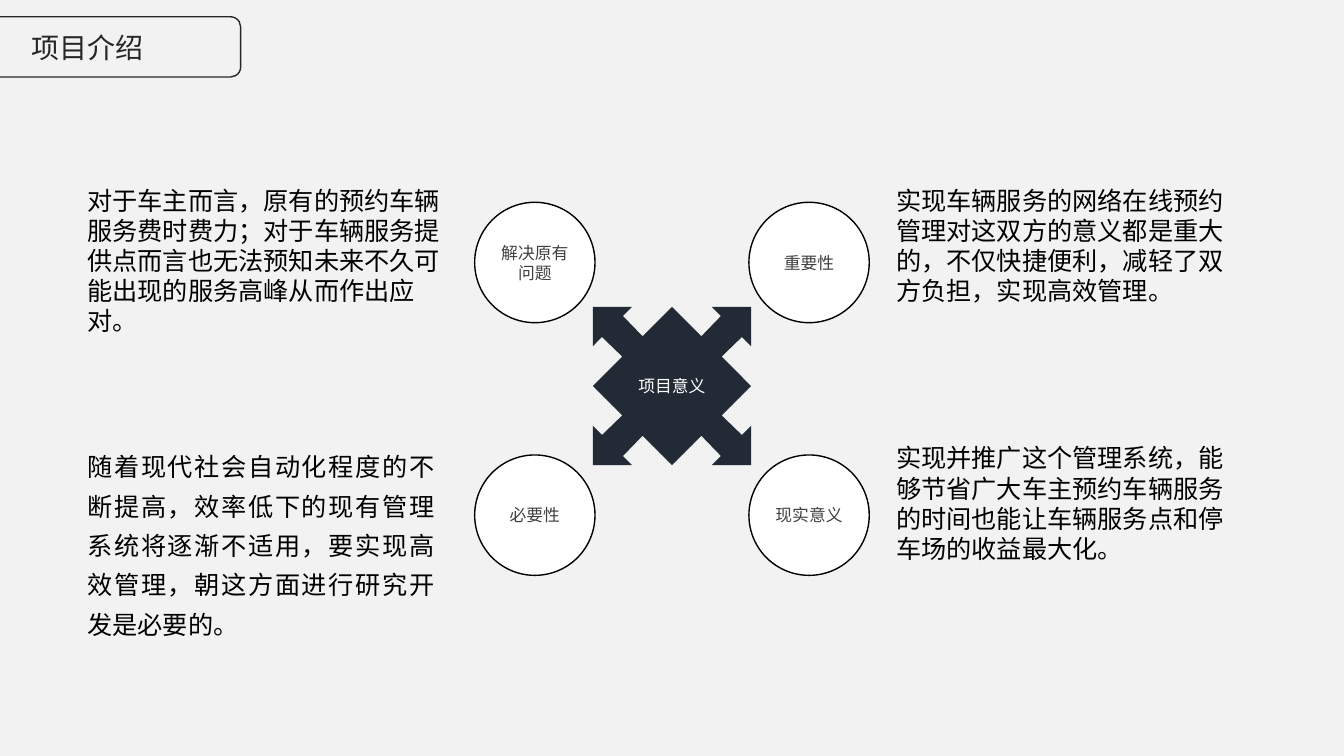
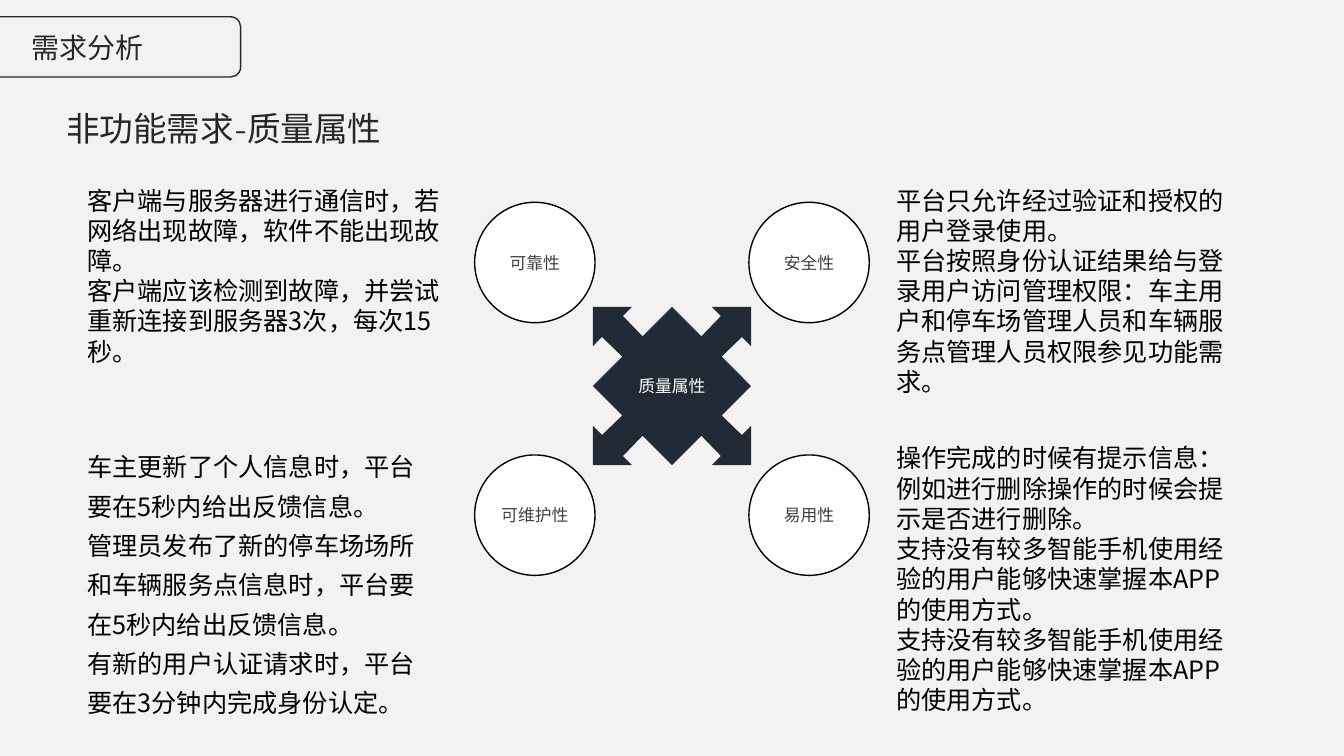
from lxml.etree import SubElement
from pptx import Presentation
from pptx.dml.color import RGBColor
from pptx.enum.shapes import MSO_SHAPE as Preset
from pptx.enum.text import MSO_ANCHOR as Anchor, MSO_AUTO_SIZE as AutoSize, PP_ALIGN as Align
from pptx.oxml.ns import qn
from pptx.util import Pt

COLORS = {
    "background": "F2F2F2",
    "title": "262626",
    "body": "000000",
    "label": "404040",
    "white": "FFFFFF",
    "hub": "222A35",
}
TITLE_FONT, TEXT_FONT = "Quicksand", "Noto Sans CJK SC"

CIRCLE = 86
CIRCLE_CORNERS = [(339.25, 144.5), (339.25, 325), (535.25, 144.5), (535.25, 325)]
# left, top, width, height, in the order of the layout's placeholders
BODY_BOXES = [
    (54.75, 128, 273, 140),
    (54.75, 312.25, 263.5, 205),
    (632.75, 128, 258.5, 160),
    (632.75, 312.25, 258.5, 205),
]
HUB_CENTER = (480.25, 275.75)
# One side of the four-way arrow, from corner to corner, around its centre
HUB_SIDE = [
    (-56.5, -56.5), (-28.5, -56.5), (-35, -50), (-21, -35.5),
    (0, -56.5), (21, -35.5), (35, -50), (28.5, -56.5),
]

# Labels and bodies run top left, bottom left, top right, bottom right
SLIDES = [
    {
        "title": "项目介绍",
        "subtitle": None,
        "hub": "项目意义",
        "labels": ["解决原有\n问题", "必要性", "重要性", "现实意义"],
        "bodies": [
            "对于车主而言，原有的预约车辆服务费时费力；对于车辆服务提供点而言也无法预知未来不久可能出现的服务高峰从而作出应对。",
            "随着现代社会自动化程度的不断提高，效率低下的现有管理系统将逐渐不适用，要实现高效管理，朝这方面进行研究开发是必要的。",
            "实现车辆服务的网络在线预约管理对这双方的意义都是重大的，不仅快捷便利，减轻了双方负担，实现高效管理。",
            "实现并推广这个管理系统，能够节省广大车主预约车辆服务的时间也能让车辆服务点和停车场的收益最大化。",
        ],
        "bottom_left_align": Align.JUSTIFY,
    },
    {
        "title": "需求分析",
        "subtitle": "非功能需求-质量属性",
        "hub": "质量属性",
        "labels": ["可靠性", "可维护性", "安全性", "易用性"],
        "bodies": [
            "客户端与服务器进行通信时，若网络出现故障，软件不能出现故障。\n"
            "客户端应该检测到故障，并尝试重新连接到服务器3次，每次15秒。",
            "车主更新了个人信息时，平台要在5秒内给出反馈信息。\n"
            "管理员发布了新的停车场场所和车辆服务点信息时，平台要在5秒内给出反馈信息。\n"
            "有新的用户认证请求时，平台要在3分钟内完成身份认定。",
            "平台只允许经过验证和授权的用户登录使用。\n"
            "平台按照身份认证结果给与登录用户访问管理权限：车主用户和停车场管理人员和车辆服务点管理人员权限参见功能需求。",
            "操作完成的时候有提示信息：例如进行删除操作的时候会提示是否进行删除。\n"
            "支持没有较多智能手机使用经验的用户能够快速掌握本APP的使用方式。\n"
            "支持没有较多智能手机使用经验的用户能够快速掌握本APP的使用方式。",
        ],
        "bottom_left_align": Align.LEFT,
    },
]


def write(shape, text, size, color, font=TEXT_FONT, align=Align.LEFT,
          anchor=Anchor.TOP, insets=(0, 0)):
    """Fill a shape with plain paragraphs: no bullets, indents or hanging punctuation."""
    frame = shape.text_frame
    frame.text = text
    frame.word_wrap = True
    frame.auto_size = AutoSize.NONE
    frame.vertical_anchor = anchor
    frame.margin_left = frame.margin_right = Pt(insets[0])
    frame.margin_top = frame.margin_bottom = Pt(insets[1])
    for paragraph in frame.paragraphs:
        paragraph.alignment = align
        paragraph.space_before = Pt(0)
        properties = paragraph._p.get_or_add_pPr()
        for attribute in ("marL", "indent", "hangingPunct"):
            properties.set(attribute, "0")
        SubElement(properties, qn("a:buNone"))
        for run in paragraph.runs:
            run.font.size = Pt(size)
            run.font.bold = False
            run.font.name = font
            run.font.color.rgb = RGBColor.from_string(COLORS[color])
            SubElement(run.font._element, qn("a:ea")).set("typeface", TEXT_FONT)


def paint(shape, fill=None, line=None):
    shape.shadow.inherit = False
    for part, color in ((shape.fill, fill), (shape.line.fill, line)):
        if color:
            part.solid()
            part.fore_color.rgb = RGBColor.from_string(COLORS[color])
        else:
            part.background()
    if line:
        shape.line.width = Pt(1)


prs = Presentation()
prs.slide_width, prs.slide_height = Pt(960.5), Pt(540)
backdrop = prs.slide_master.background.fill
backdrop.solid()
backdrop.fore_color.rgb = RGBColor.from_string(COLORS["background"])
comparison_layout = prs.slide_layouts[4]

hub_outline = []
side = HUB_SIDE
for _ in range(4):
    hub_outline += [(HUB_CENTER[0] + x, HUB_CENTER[1] + y) for x, y in side]
    side = [(-y, x) for x, y in side]

for content in SLIDES:
    slide = prs.slides.add_slide(comparison_layout)
    shapes = slide.shapes

    title_tab = shapes.add_shape(Preset.ROUNDED_RECTANGLE, Pt(-41), Pt(12), Pt(213), Pt(43))
    paint(title_tab, line="title")

    title = shapes.title
    title.left, title.top, title.width, title.height = Pt(15), Pt(18), Pt(150), Pt(31.5)
    write(title, content["title"], 20, "title", TITLE_FONT, insets=(7.2, 3.6))

    if content["subtitle"]:
        subtitle = shapes.add_textbox(Pt(40.25), Pt(73.5), Pt(453.5), Pt(36))
        write(subtitle, content["subtitle"], 24, "title", TITLE_FONT, insets=(7.2, 3.6))

    for (left, top), label in zip(CIRCLE_CORNERS, content["labels"]):
        circle = shapes.add_shape(Preset.OVAL, Pt(left), Pt(top), Pt(CIRCLE), Pt(CIRCLE))
        paint(circle, fill="white", line="body")
        write(circle, label, 12, "label", align=Align.CENTER, anchor=Anchor.MIDDLE)

    start, *rest = [(Pt(x), Pt(y)) for x, y in hub_outline]
    builder = shapes.build_freeform(*start)
    builder.add_line_segments(rest, close=True)
    hub = builder.convert_to_shape()
    paint(hub, fill="hub")
    write(hub, content["hub"], 12, "white", align=Align.CENTER, anchor=Anchor.MIDDLE)

    bodies = [slide.placeholders[index] for index in range(1, 5)]
    for body, text, box in zip(bodies, content["bodies"], BODY_BOXES):
        body.left, body.top, body.width, body.height = map(Pt, box)
        write(body, text, 18, "body", insets=(7.75, 4))

    for paragraph in bodies[1].text_frame.paragraphs:
        paragraph.line_spacing = 1.3
        paragraph.alignment = content["bottom_left_align"]

prs.save("out.pptx")
